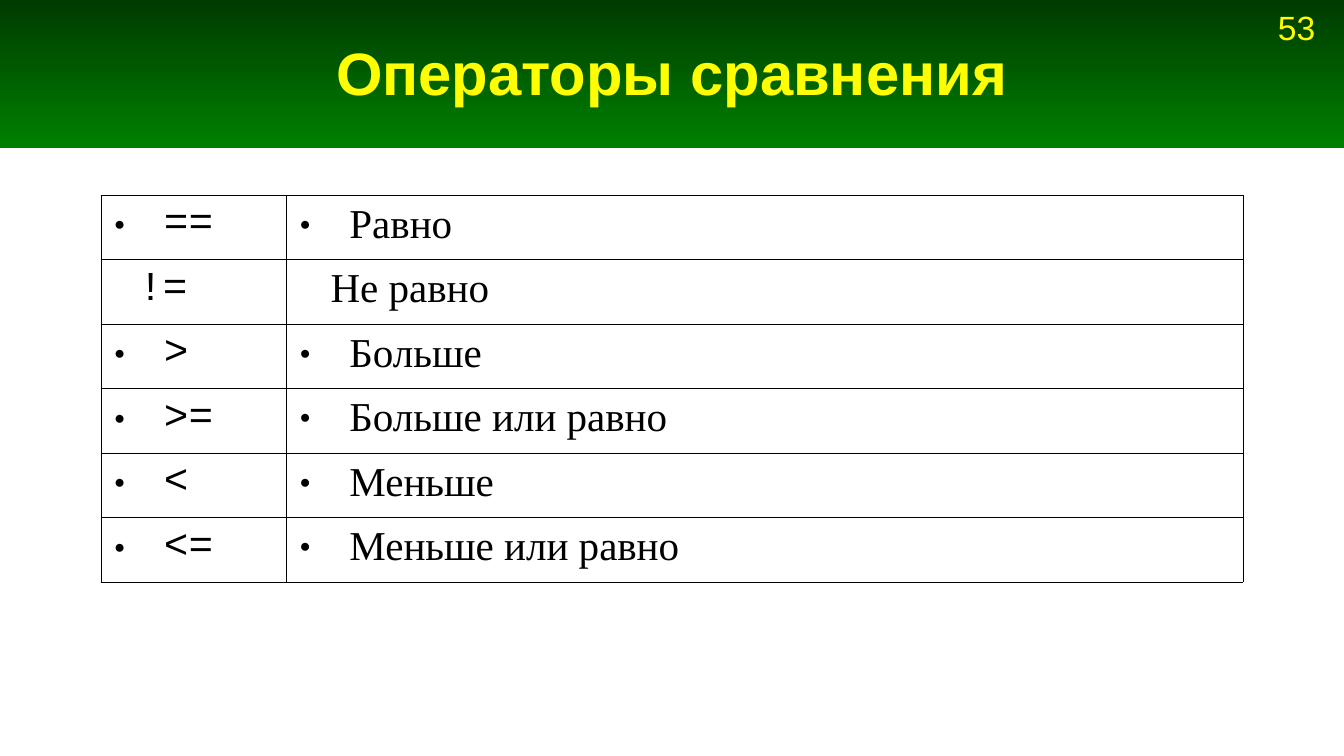
from lxml import etree
from pptx import Presentation
from pptx.dml.color import RGBColor
from pptx.enum.shapes import MSO_SHAPE
from pptx.enum.text import MSO_ANCHOR, MSO_AUTO_SIZE, PP_ALIGN
from pptx.oxml.ns import qn
from pptx.util import Inches, Pt

RECTANGLE = MSO_SHAPE.RECTANGLE
MIDDLE = MSO_ANCHOR.MIDDLE
NO_AUTOSIZE = MSO_AUTO_SIZE.NONE
LEFT, CENTER, JUSTIFY = PP_ALIGN.LEFT, PP_ALIGN.CENTER, PP_ALIGN.JUSTIFY

COLORS = {"dark": "003B00", "green": "008000", "yellow": "FFFF00", "black": "000000"}
HEADING_FONT = "Arial"
COLUMN_FONTS = ["Courier New", "Times New Roman"]
COLUMN_WIDTHS = [1.38, 7.12]
ROW_HEIGHT = 0.48
BULLET_INDENT = 0.37
PLAIN_INDENTS = [0.18, 0.23]

# Operator, meaning, bulleted
OPERATORS = [
    ("==", "Равно", True),
    ("!=", "Не равно", False),
    (">", "Больше", True),
    (">=", "Больше или равно", True),
    ("<", "Меньше", True),
    ("<=", "Меньше или равно", True),
]


def color(name):
    return RGBColor.from_string(COLORS[name])


class SlideBuilder:
    def __init__(self, presentation):
        self.slide = presentation.slides.add_slide(presentation.slide_layouts[5])

    def add_run(self, paragraph, text, font, size, color_name, bold=False):
        run = paragraph.add_run()
        run.text = text
        run.font.name = font
        run.font.size = Pt(size)
        run.font.bold = bold
        run.font.color.rgb = color(color_name)

    def header_band(self, width, height):
        band = self.slide.shapes.add_shape(RECTANGLE, 0, 0, Inches(width), Inches(height))
        band.shadow.inherit = False
        band.line.fill.background()
        band.fill.gradient()
        band.fill.gradient_angle = 270
        for stop, name, position in zip(band.fill.gradient_stops, ("dark", "green"), (0, 1)):
            stop.color.rgb = color(name)
            stop.position = position
        # Send the band behind the title
        self.slide.shapes._spTree.insert(2, band._element)

    def title(self, text, left, top, width, height):
        shape = self.slide.shapes.title
        shape.left, shape.top = Inches(left), Inches(top)
        shape.width, shape.height = Inches(width), Inches(height)
        frame = shape.text_frame
        frame.auto_size = NO_AUTOSIZE
        frame.vertical_anchor = MIDDLE
        paragraph = frame.paragraphs[0]
        paragraph.alignment = CENTER
        self.add_run(paragraph, text, HEADING_FONT, 32, "yellow", bold=True)

    def page_number(self, text, left, top, width, height):
        box = self.slide.shapes.add_textbox(
            Inches(left), Inches(top), Inches(width), Inches(height))
        box.text_frame.word_wrap = True
        paragraph = box.text_frame.paragraphs[0]
        paragraph.alignment = LEFT
        self.add_run(paragraph, text, HEADING_FONT, 18, "yellow")

    def indent(self, paragraph, margin, bulleted):
        properties = paragraph._p.get_or_add_pPr()
        properties.set("marL", str(Inches(margin)))
        properties.set("indent", str(-Inches(margin) if bulleted else 0))
        if not bulleted:
            etree.SubElement(properties, qn("a:buNone"))
            return
        bullet_color = etree.SubElement(properties, qn("a:buClr"))
        etree.SubElement(bullet_color, qn("a:srgbClr"), val=COLORS["black"])
        etree.SubElement(properties, qn("a:buSzPct"), val="45000")
        etree.SubElement(properties, qn("a:buFont"), typeface="Times New Roman")
        etree.SubElement(properties, qn("a:buChar"), char="●")

    def cell_borders(self, cell):
        properties = cell._tc.get_or_add_tcPr()
        for side in ("lnL", "lnR", "lnT", "lnB"):
            line = etree.SubElement(properties, qn("a:" + side), w=str(Pt(0.06)))
            fill = etree.SubElement(line, qn("a:solidFill"))
            etree.SubElement(fill, qn("a:srgbClr"), val=COLORS["black"])

    def operator_table(self, left, top):
        table = self.slide.shapes.add_table(
            len(OPERATORS), len(COLUMN_WIDTHS), Inches(left), Inches(top),
            Inches(sum(COLUMN_WIDTHS)), Inches(ROW_HEIGHT * len(OPERATORS))).table
        table.first_row = table.horz_banding = False
        for column, width in zip(table.columns, COLUMN_WIDTHS):
            column.width = Inches(width)
        for row, (*texts, bulleted) in enumerate(OPERATORS):
            table.rows[row].height = Inches(ROW_HEIGHT)
            for column, text in enumerate(texts):
                cell = table.cell(row, column)
                self.cell_borders(cell)
                cell.fill.background()
                paragraph = cell.text_frame.paragraphs[0]
                margin = BULLET_INDENT if bulleted else PLAIN_INDENTS[column]
                self.indent(paragraph, margin, bulleted)
                paragraph.alignment = JUSTIFY
                self.add_run(paragraph, text, COLUMN_FONTS[column], 22, "black")


def main():
    presentation = Presentation()
    # Widescreen, 16:9
    presentation.slide_width = Inches(10)
    presentation.slide_height = Inches(10) * 9 // 16
    builder = SlideBuilder(presentation)

    # Header
    builder.header_band(10, 1.1)
    builder.page_number("53", 9.41, 0, 0.59, 0.4)
    builder.title("Операторы сравнения", 0.75, 0.04, 8.5, 0.98)

    # Comparison operators
    builder.operator_table(0.75, 1.45)

    presentation.save("out.pptx")


if __name__ == "__main__":
    main()
